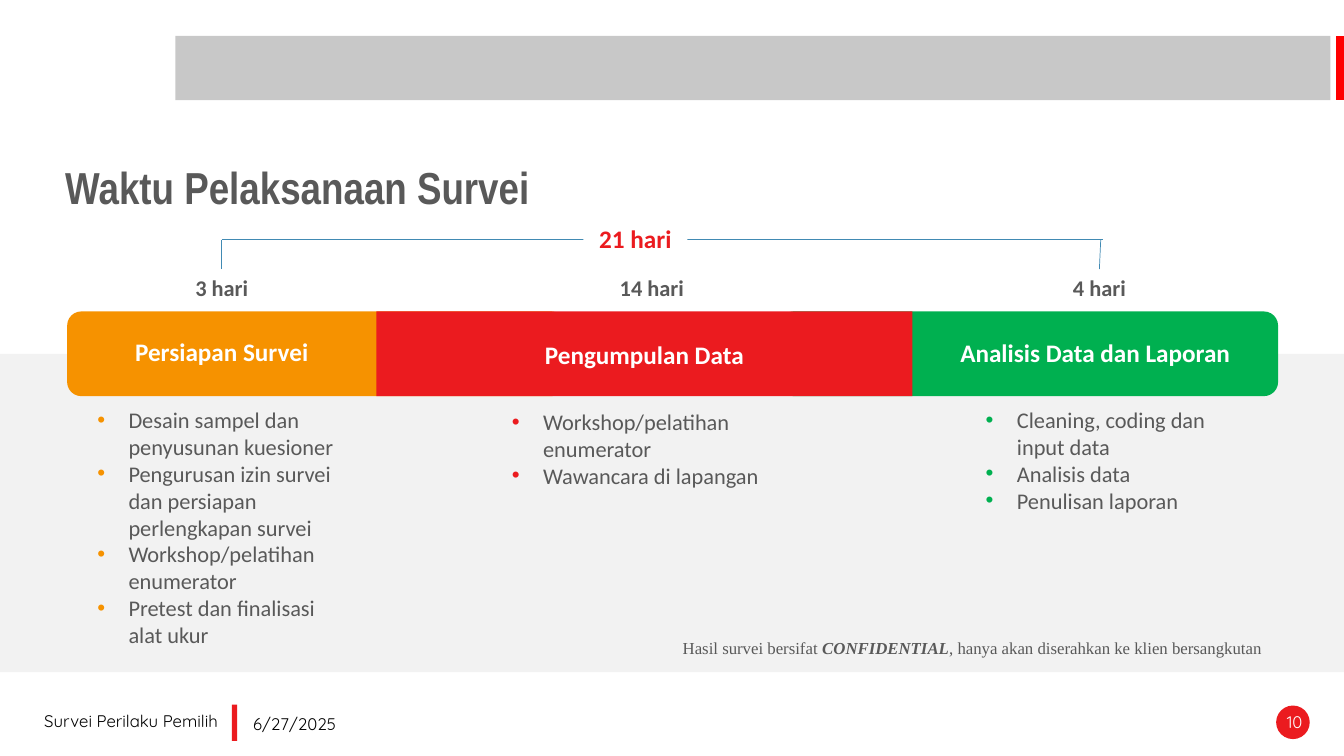
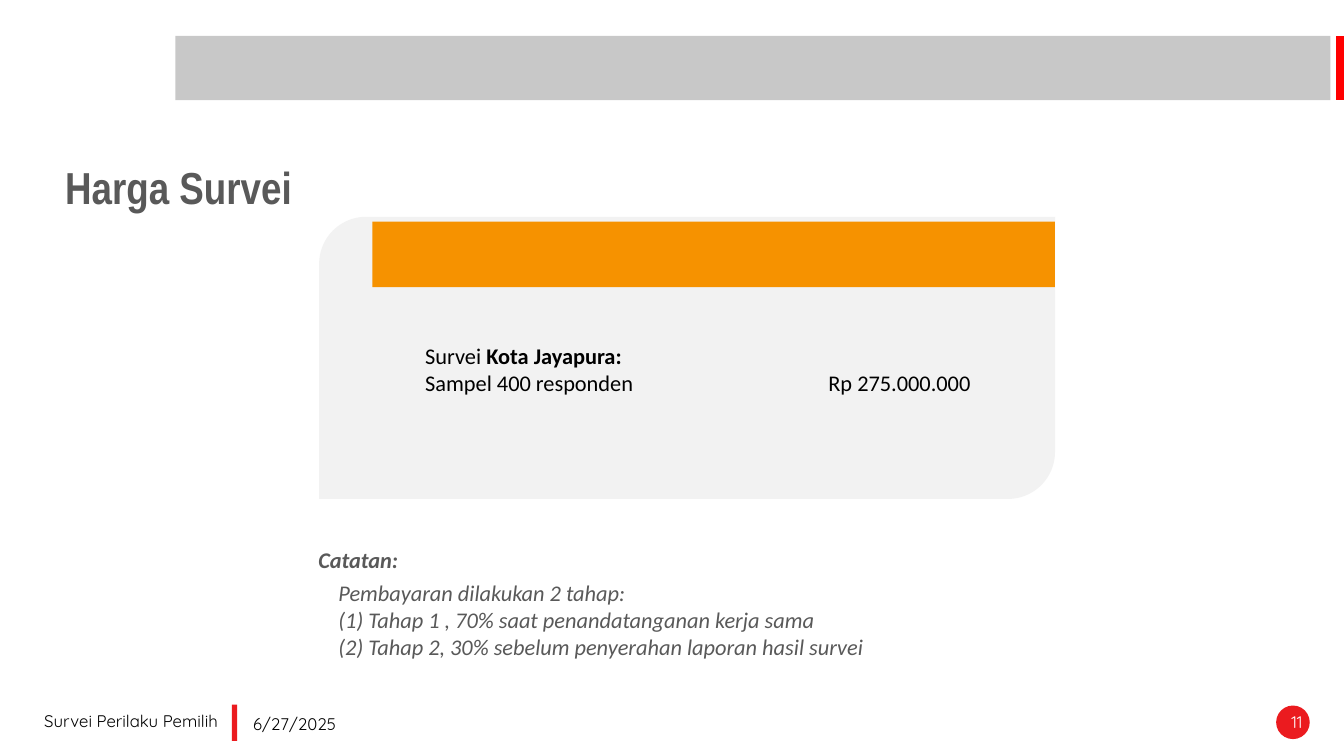
from dataclasses import dataclass

from lxml import etree
from pptx import Presentation
from pptx.dml.color import RGBColor
from pptx.enum.shapes import MSO_CONNECTOR, MSO_SHAPE
from pptx.enum.text import MSO_ANCHOR, PP_ALIGN
from pptx.oxml.ns import qn
from pptx.util import Inches, Pt

RECT = MSO_SHAPE.RECTANGLE
ROUND = MSO_SHAPE.ROUNDED_RECTANGLE
DIAG = MSO_SHAPE.ROUND_2_DIAG_RECTANGLE
OVAL = MSO_SHAPE.OVAL
LINE = MSO_CONNECTOR.STRAIGHT
LEFT, MID, RIGHT = PP_ALIGN.LEFT, PP_ALIGN.CENTER, PP_ALIGN.RIGHT
TOP, CENTRE = MSO_ANCHOR.TOP, MSO_ANCHOR.MIDDLE

WIDE, HIGH = Inches(13.333), Inches(7.5)


@dataclass(frozen=True)
class Type:
    face: str
    size: int
    color: str
    bold: bool = False
    italic: bool = False
    slant: bool = False  # stressed words are italic as well as bold
    space: float = 1.0


@dataclass(frozen=True)
class Theme:
    red: str = "EB1B1F"
    edge: str = "FF0000"
    orange: str = "F69200"
    green: str = "00B050"
    blue: str = "418AB3"
    white: str = "FFFFFF"
    pale: str = "F2F2F2"
    band: str = "C8C8C8"
    title: Type = Type("Arial Narrow", 32, "595959", bold=True, space=0.9)
    phase: Type = Type("Calibri", 18, "FFFFFF", bold=True, space=0.9)
    total: Type = Type("Calibri", 18, "EB1B1F", bold=True)
    days: Type = Type("Calibri", 16, "595959", bold=True)
    body: Type = Type("Calibri", 16, "595959")
    price: Type = Type("Calibri", 16, "000000")
    head: Type = Type("Calibri", 16, "595959", bold=True, italic=True)
    note: Type = Type("Calibri", 16, "595959", italic=True)
    secret: Type = Type("Times New Roman", 12, "595959", slant=True)
    foot: Type = Type("Quicksand", 12, "000000")
    page: Type = Type("Quicksand", 12, "FFFFFF")


THEME = Theme()

# Edges of the three phases, in percent of the slide's width
EDGES = (5, 28, 67.9, 95.1)
BAR_TOP, BAR_HIGH = 41.2, 11.2
CAP = 37.1  # width of the rounded end pieces
SPAN_TOP, DAYS_TOP = 31.73, 35.6

# name, colour, label top, days, days centre, list left, list top, tasks
PHASES = (
    ("Persiapan Survei", THEME.orange, 41.2, "3 hari", 16.5, 6.5, 53.07,
     ("Desain sampel dan penyusunan kuesioner",
      "Pengurusan izin survei dan persiapan perlengkapan survei",
      "Workshop/pelatihan enumerator",
      "Pretest dan finalisasi alat ukur")),
    ("Pengumpulan Data", THEME.red, 41.5, "14 hari", 48.5, 37.35, 53.33,
     ("Workshop/pelatihan enumerator", "Wawancara di lapangan")),
    ("Analisis Data dan Laporan", THEME.green, 41.3, "4 hari", 81.8, 72.6, 53.07,
     ("Cleaning, coding dan input data", "Analisis data", "Penulisan laporan")),
)


def place(x, y):
    """Turn percent of the slide's width and height into lengths."""
    return round(WIDE * x / 100), round(HIGH * y / 100)


def block(slide, kind, box, fill):
    shape = slide.shapes.add_shape(kind, *place(*box[:2]), *place(*box[2:]))
    shape.shadow.inherit = False
    shape.fill.solid()
    shape.fill.fore_color.rgb = RGBColor.from_string(fill)
    shape.line.fill.background()
    return shape


def rule(slide, start, end, color, width):
    line = slide.shapes.add_connector(LINE, *place(*start), *place(*end))
    line.line.color.rgb = RGBColor.from_string(color)
    line.line.width = Pt(width)
    etree.SubElement(line._element.spPr, qn("a:effectLst"))
    return line


def write(shape, lines, style, align=LEFT, anchor=TOP):
    """Fill a shape with lines; words between asterisks are stressed."""
    frame = shape.text_frame
    frame.word_wrap = True
    frame.vertical_anchor = anchor
    frame.text = "\n".join(lines)
    for para in frame.paragraphs:
        first, *rest = para.text.split("*")
        para.text = first
        for part in rest:
            para.add_run().text = part
        para.alignment = align
        para.line_spacing = style.space
        for spot, run in enumerate(para.runs):
            stress = spot % 2 == 1
            font = run.font
            font.name, font.size = style.face, Pt(style.size)
            font.color.rgb = RGBColor.from_string(style.color)
            font.bold = style.bold or stress
            font.italic = style.italic or (stress and style.slant)


def label(slide, box, lines, style, align=LEFT, anchor=TOP):
    shape = slide.shapes.add_textbox(*place(*box[:2]), *place(*box[2:]))
    write(shape, lines, style, align, anchor)
    return shape


def bullet(shape, color):
    for para in shape.text_frame.paragraphs:
        props = para._p.get_or_add_pPr()
        props.set("marL", str(Inches(0.31)))
        props.set("indent", str(-Inches(0.31)))
        tint = etree.SubElement(props, qn("a:buClr"))
        etree.SubElement(tint, qn("a:srgbClr"), val=color)
        etree.SubElement(props, qn("a:buFont"), typeface="Arial")
        etree.SubElement(props, qn("a:buChar"), char="•")


def tab_stop(para, inch):
    stops = etree.SubElement(para._p.get_or_add_pPr(), qn("a:tabLst"))
    etree.SubElement(stops, qn("a:tab"), pos=str(Inches(inch)), algn="l")


def frame(deck, title, page):
    """Add a slide with its band, title and footer."""
    slide = deck.slides.add_slide(deck.slide_layouts[6])
    block(slide, RECT, (13.05, 4.75, 85.95, 8.5), THEME.band)
    rule(slide, (99.75, 4.75), (99.75, 13.25), THEME.edge, 6)
    label(slide, (4.12, 18.93, 50.25, 12.27), [title], THEME.title, anchor=CENTRE)
    block(slide, OVAL, (94.95, 93.33, 2.5, 4.44), THEME.red)
    block(slide, RECT, (17.25, 93.2, 0.4, 4.8), THEME.red)
    label(slide, (2.55, 93.33, 15.75, 5.3), ["Survei Perilaku Pemilih"], THEME.foot)
    label(slide, (18.1, 93.73, 12.7, 5.3), ["6/27/2025"], THEME.foot)
    label(slide, (84.3, 93.47, 13.35, 5.3), [str(page)], THEME.page, RIGHT)
    return slide


def bar(slide):
    """Draw the phase bar: two rounded ends below a square middle."""
    first, left, right, last = EDGES
    parts = ((ROUND, last - CAP, CAP), (ROUND, first, CAP), (RECT, left, right - left))
    colors = (THEME.green, THEME.orange, THEME.red)
    for (kind, x, wide), color in zip(parts, colors):
        block(slide, kind, (x, BAR_TOP, wide, BAR_HIGH), color)


def span(slide, start, end):
    """Bracket the first and last day counts under the total."""
    rule(slide, (16.5, SPAN_TOP), (82.05, SPAN_TOP), THEME.blue, 0.5)
    for count, x in ((start, 16.5), (end, 81.9)):
        leg = rule(slide, (x, DAYS_TOP), (x, SPAN_TOP), THEME.blue, 0.5)
        leg.begin_connect(count, 0)
    total = block(slide, RECT, (43.4, 28.93, 7.75, 5.33), THEME.white)
    write(total, ["21 hari"], THEME.total, MID)


def schedule(deck):
    slide = frame(deck, "Waktu Pelaksanaan Survei", 10)
    ground = block(slide, RECT, (0, 46.8, 100, 42.13), THEME.pale)
    slide.shapes._spTree.insert(2, ground._element)
    bar(slide)
    counts = []
    for phase, left, right in zip(PHASES, EDGES, EDGES[1:]):
        name, color, top, days, mid, x, y, tasks = phase
        label(slide, (left, top, right - left, BAR_HIGH), [name],
              THEME.phase, MID, CENTRE)
        counts.append(label(slide, (mid - 4, DAYS_TOP, 8, 4.93), [days],
                            THEME.days, MID))
        bullet(label(slide, (x, y, 20, 33.6), tasks, THEME.body), color)
    span(slide, counts[0], counts[-1])
    label(slide, (48.65, 83.73, 46, 4.1),
          ["Hasil survei bersifat *CONFIDENTIAL*, "
           "hanya akan diserahkan ke klien bersangkutan"], THEME.secret, RIGHT)


def price(deck):
    slide = frame(deck, "Harga Survei", 11)
    block(slide, DIAG, (23.75, 28.67, 54.75, 37.33), THEME.pale)
    block(slide, RECT, (27.7, 29.33, 50.8, 8.67), THEME.orange)
    offer = label(slide, (30.9, 44.65, 47.6, 12.2),
                  ["Survei *Kota Jayapura:*",
                   "Sampel 400 responden\tRp 275.000.000"], THEME.price)
    tab_stop(offer.text_frame.paragraphs[1], 4)
    label(slide, (22.95, 71.6, 8, 4.93), ["Catatan:"], THEME.head)
    label(slide, (24.45, 76, 45.45, 12.13),
          ["Pembayaran dilakukan 2 tahap:",
           "(1) Tahap 1 , 70% saat penandatanganan kerja sama",
           "(2) Tahap 2, 30% sebelum penyerahan laporan hasil survei"], THEME.note)


def main():
    deck = Presentation()
    deck.slide_width, deck.slide_height = WIDE, HIGH
    schedule(deck)
    price(deck)
    deck.save("out.pptx")


if __name__ == "__main__":
    main()
